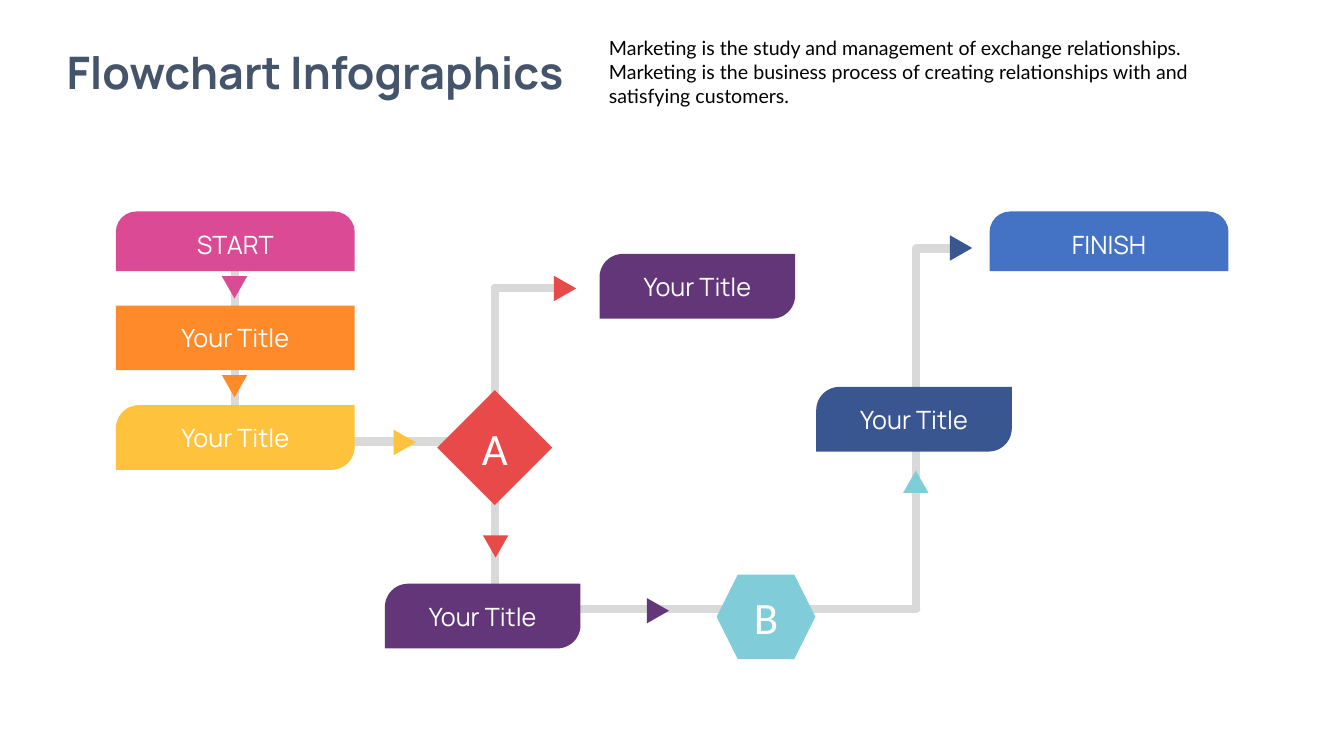
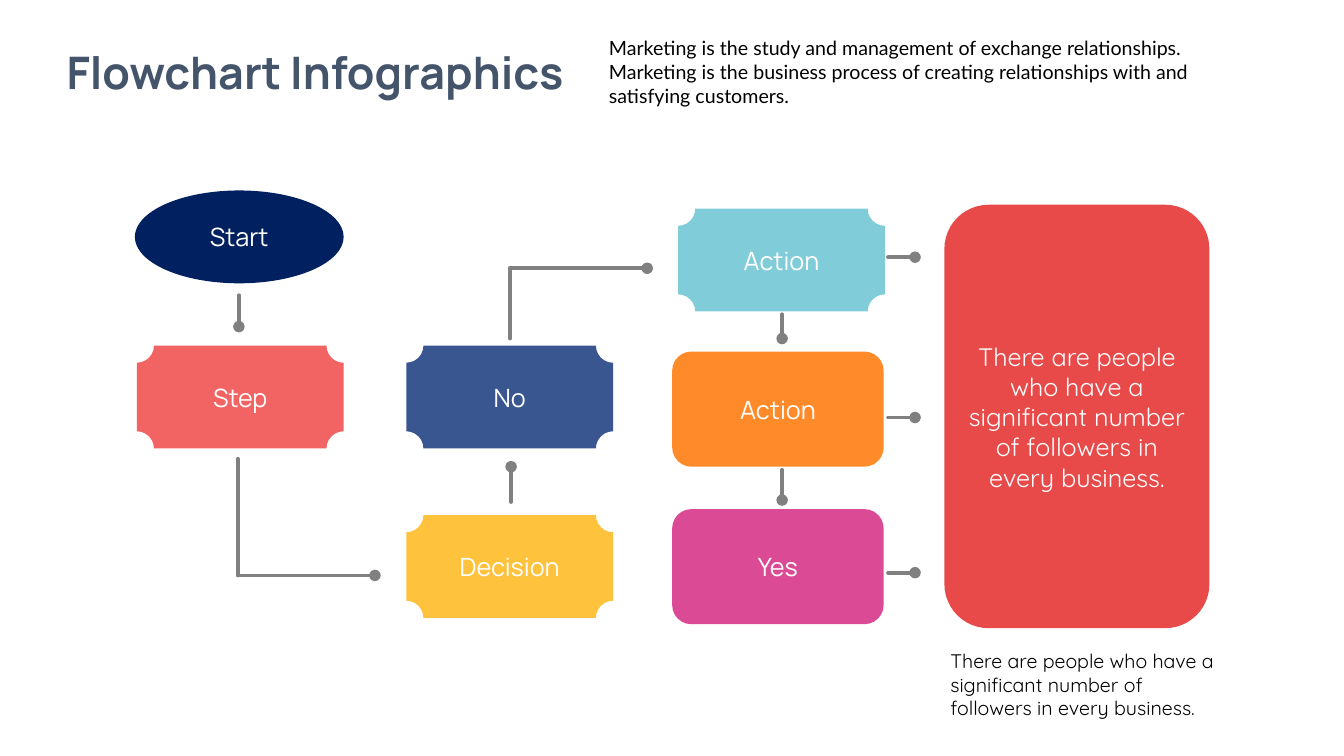
import itertools
import pptx
import pptx.util
import pptx.dml.color
import pptx.enum.shapes
import pptx.enum.text
import pptx.oxml
import pptx.oxml.ns

Cm = pptx.util.Cm
Pt = pptx.util.Pt
RGB = pptx.dml.color.RGBColor.from_string
KIND = pptx.enum.shapes.MSO_SHAPE
ALIGN = pptx.enum.text.PP_ALIGN
FIT = pptx.enum.text.MSO_AUTO_SIZE
qn = pptx.oxml.ns.qn

HUES = {
    "slate": "44546A", "black": "000000", "white": "FFFFFF",
    "silver": "D9D9D9", "gray": "808080", "pink": "DB4B95",
    "orange": "FF8A29", "yellow": "FFC23D", "red": "E84A4A",
    "coral": "F26363", "purple": "623678", "teal": "80CDD9",
    "navy": "3A5691", "blue": "4472C4", "midnight": "002060",
}
TITLE = "Flowchart Infographics"
INTRO = ("Marketing is the study and management of exchange relationships. "
         "Marketing is the business process of creating relationships with "
         "and satisfying customers.")
QUOTE = ("There are people who have a significant number of followers "
         "in every business.")


def box(slide, kind, place, hue, text="", font="Manrope", size=18):
    shape = slide.shapes.add_shape(kind, *map(Cm, place))
    shape.shadow.inherit = False
    shape.fill.solid()
    shape.fill.fore_color.rgb = RGB(HUES[hue])
    shape.line.fill.background()
    if text:
        para = shape.text_frame.paragraphs[0]
        para.text = text
        para.alignment = ALIGN.CENTER
        para.font.name = font
        para.font.size = Pt(size)
        para.font.color.rgb = RGB(HUES["white"])
    return shape


def trace(slide, points, hue, width, dot=False):
    for start, end in itertools.pairwise(points):
        line = slide.shapes.add_connector(
            pptx.enum.shapes.MSO_CONNECTOR.STRAIGHT, *map(Cm, start + end))
        line.line.color.rgb = RGB(HUES[hue])
        line.line.width = Pt(width)
        props = line.element.spPr
        stroke = props.find(qn("a:ln"))
        stroke.set("cap", "rnd")
        if dot and end == points[-1]:
            stroke.append(pptx.oxml.parse_xml(
                '<a:tailEnd xmlns:a="http://schemas.openxmlformats.org/'
                'drawingml/2006/main" type="oval"/>'))
        props.append(props.makeelement(qn("a:effectLst"), {}))


deck = pptx.Presentation()
deck.slide_width = Cm(33.87)
deck.slide_height = Cm(19.05)

for _ in range(2):
    slide = deck.slides.add_slide(deck.slide_layouts[1])
    heads = [
        (slide.shapes.title, TITLE, (0.81, 0.99, 14.27, 1.63),
         "Manrope", 32, "slate", True, ALIGN.CENTER),
        (slide.placeholders[1], INTRO, (15.09, 0.79, 16, 2.06),
         "Lato", 14, "black", False, ALIGN.LEFT),
    ]
    for holder, text, place, font, size, hue, bold, align in heads:
        holder.left, holder.top, holder.width, holder.height = map(Cm, place)
        holder.text_frame.text = text
        holder.text_frame.auto_size = FIT.NONE
        para = holder.text_frame.paragraphs[0]
        para.alignment = align
        para.space_before = Pt(0)
        props = para._p.get_or_add_pPr()
        props.set("marL", "0")
        props.set("indent", "0")
        props.append(props.makeelement(qn("a:buNone"), {}))
        run = para.runs[0].font
        run.name, run.size, run.bold = font, Pt(size), bold
        run.color.rgb = RGB(HUES[hue])

flow, plan = deck.slides

routes = [
    [(5.92, 6.2), (5.92, 11.13), (12.47, 11.13)],
    [(12.47, 15.37), (12.47, 7.26), (13.97, 7.26)],
    [(12.57, 15.34), (23.09, 15.34), (23.09, 6.26), (24.03, 6.26)],
]
for points in routes:
    trace(flow, points, "silver", 6)

for left, hue, text in [(2.92, "pink", "START"), (24.94, "blue", "FINISH")]:
    cap = box(flow, KIND.ROUND_2_SAME_RECTANGLE, (left, 5.33, 6.02, 1.5),
              hue, text)
    cap.adjustments[0] = 0.345

steps = [
    (2.92, 7.7, 6.02, "orange", 0),
    (9.7, 14.71, 4.93, "purple", 0.36),
    (15.11, 6.4, 4.93, "purple", 0.36),
    (2.92, 10.21, 6.02, "yellow", 0.36),
    (20.57, 9.75, 4.93, "navy", 0.36),
]
for left, top, width, hue, curve in steps:
    step = box(flow, KIND.ROUND_2_DIAG_RECTANGLE, (left, top, width, 1.63),
               hue, "Your Title")
    step.adjustments[0] = curve

box(flow, KIND.DIAMOND, (11.02, 9.83, 2.9, 2.9), "red", "A", "Calibri", 32)
box(flow, KIND.HEXAGON, (18.06, 14.48, 2.49, 2.13), "teal", "B",
    "Calibri", 32)

tips = [
    (5.59, 6.96, 180, "pink"), (5.59, 9.45, 180, "orange"),
    (9.88, 10.87, 90, "yellow"), (12.17, 13.49, 180, "red"),
    (16.26, 15.11, 90, "purple"), (22.76, 11.86, 0, "teal"),
    (13.92, 6.99, 90, "red"), (23.9, 5.97, 90, "navy"),
]
for left, top, turn, hue in tips:
    tip = box(flow, KIND.ISOSCELES_TRIANGLE, (left, top, 0.64, 0.56), hue)
    tip.rotation = turn

box(plan, KIND.OVAL, (3.4, 4.8, 5.26, 2.34), "midnight", "Start")
plaques = [
    (3.45, 8.71, "coral", "Step"), (10.24, 12.98, "yellow", "Decision"),
    (10.24, 8.71, "navy", "No"), (17.09, 5.26, "teal", "Action"),
]
for left, top, hue, text in plaques:
    box(plan, KIND.PLAQUE, (left, top, 5.21, 2.59), hue, text)
for top, hue, text in [(8.86, "orange", "Action"), (12.83, "pink", "Yes")]:
    box(plan, KIND.ROUNDED_RECTANGLE, (16.94, top, 5.33, 2.9), hue, text)
box(plan, KIND.ROUNDED_RECTANGLE, (23.8, 5.16, 6.68, 10.67), "red", QUOTE,
    "Quicksand")

links = [
    [(6.02, 7.44), (6.02, 8.23)],
    [(5.99, 11.56), (5.99, 14.5), (9.45, 14.5)],
    [(12.88, 12.65), (12.88, 11.76)],
    [(12.85, 8.53), (12.85, 6.76), (16.31, 6.76)],
    [(19.71, 7.92), (19.71, 8.53)],
    [(19.71, 11.84), (19.71, 12.6)],
]
links += [[(22.38, top), (23.06, top)] for top in (6.48, 10.52, 14.43)]
for points in links:
    trace(plan, points, "gray", 2.75, dot=True)

note = plan.shapes.add_textbox(Cm(23.7), Cm(16.23), Cm(7.39), Cm(2.06))
note.text_frame.word_wrap = True
note.text_frame.text = QUOTE
run = note.text_frame.paragraphs[0].runs[0].font
run.name, run.size = "Quicksand", Pt(14)
run.color.rgb = RGB(HUES["black"])

deck.save("out.pptx")
